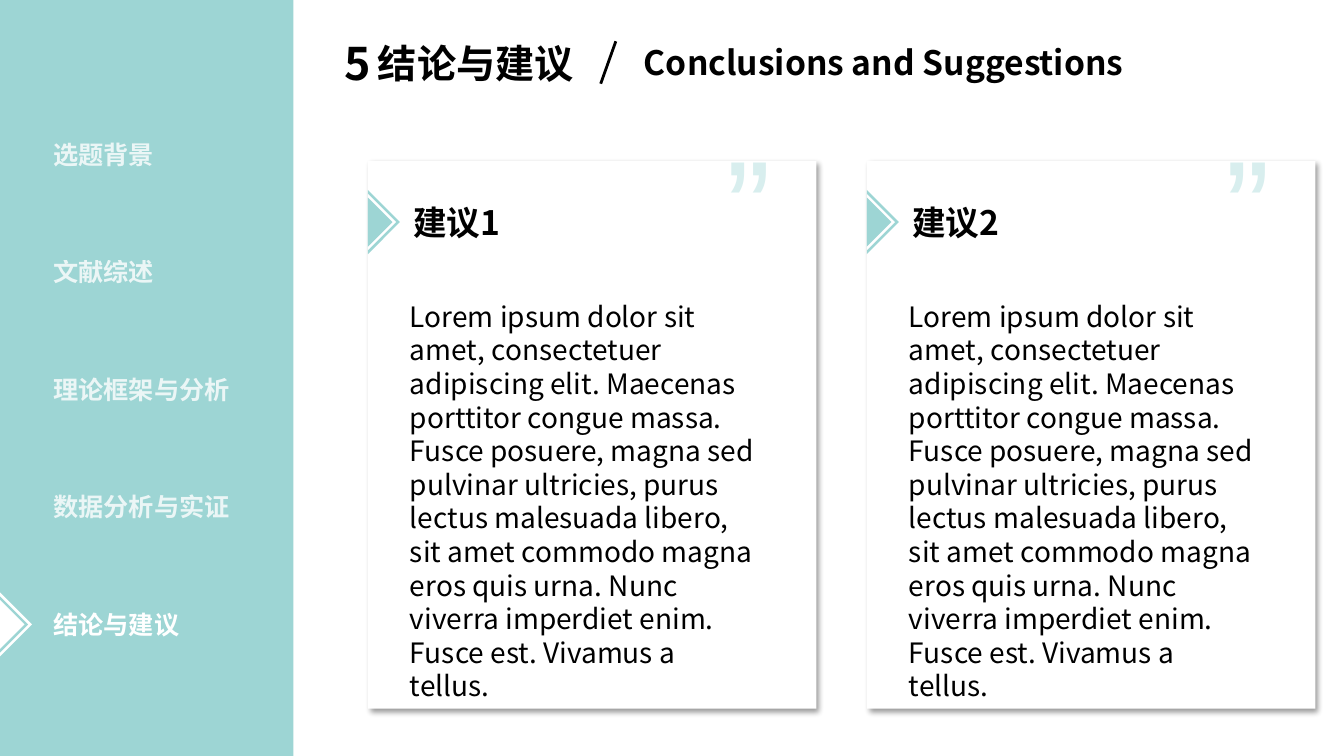
from lxml import etree
from pptx import Presentation
from pptx.dml.color import RGBColor
from pptx.enum.shapes import MSO_CONNECTOR, MSO_SHAPE
from pptx.enum.text import MSO_ANCHOR, MSO_AUTO_SIZE, PP_ALIGN
from pptx.oxml.ns import qn
from pptx.util import Pt

RECTANGLE = MSO_SHAPE.RECTANGLE
RIGHT_TRIANGLE = MSO_SHAPE.RIGHT_TRIANGLE
STRAIGHT = MSO_CONNECTOR.STRAIGHT
TOP = MSO_ANCHOR.TOP
GROW = MSO_AUTO_SIZE.SHAPE_TO_FIT_TEXT
LEFT = PP_ALIGN.LEFT
JUSTIFY = PP_ALIGN.JUSTIFY

TEAL = RGBColor(0x9D, 0xD5, 0xD4)
PALE_TEAL = RGBColor(0xD8, 0xEE, 0xEE)
WHITE = RGBColor(0xFF, 0xFF, 0xFF)
BLACK = RGBColor(0, 0, 0)
FONT = "Noto Sans CJK SC"

SECTIONS = ["选题背景", "文献综述", "理论框架与分析", "数据分析与实证", "结论与建议"]
SECTION_TOP, SECTION_PITCH = 95.8, 83.9
CARD_LEFT, CARD_PITCH, CARD_TOP = 262.8, 359.3 - 2.9, 115.2
CARD_WIDTH, CARD_HEIGHT = 320.4, 391
ADVICE = (
    "Lorem ipsum dolor sit amet, consectetuer adipiscing elit. Maecenas "
    "porttitor congue massa. Fusce posuere, magna sed pulvinar ultricies, "
    "purus lectus malesuada libero, sit amet commodo magna eros quis urna. "
    "Nunc viverra imperdiet enim. Fusce est. Vivamus a tellus."
)


def write_text(box, text, size, color=BLACK, bold=False, font=FONT,
               align=LEFT, line_spacing=None, opacity=None):
    frame = box.text_frame
    frame.word_wrap = True
    frame.auto_size = GROW
    frame.vertical_anchor = TOP
    para = frame.paragraphs[0]
    para.alignment = align
    if line_spacing:
        para.line_spacing = Pt(line_spacing)
    span = para.add_run()
    span.text = text
    span.font.size = Pt(size)
    span.font.bold = bold
    span.font.color.rgb = color
    span.font.name = font
    properties = span.font._element
    etree.SubElement(properties, qn("a:ea"), typeface=font)
    if opacity:
        fill_color = properties.find(".//" + qn("a:srgbClr"))
        etree.SubElement(fill_color, qn("a:alpha"), val=str(opacity * 1000))


def place(shape, left, top, width, height):
    shape.left, shape.top = Pt(left), Pt(top)
    shape.width, shape.height = Pt(width), Pt(height)


def add_text(page, left, top, width, height, text, size, **style):
    box = page.shapes.add_textbox(Pt(left), Pt(top), Pt(width), Pt(height))
    write_text(box, text, size, **style)


def add_filled(page, kind, left, top, width, height, color):
    shape = page.shapes.add_shape(kind, Pt(left), Pt(top), Pt(width), Pt(height))
    shape.shadow.inherit = False
    shape.fill.solid()
    shape.fill.fore_color.rgb = color
    shape.line.fill.background()
    return shape


def add_drop_shadow(shape):
    effects = shape._element.spPr.find(qn("a:effectLst"))
    shadow = etree.SubElement(
        effects, qn("a:outerShdw"), blurRad=str(Pt(4)), dist=str(Pt(3)),
        dir="2700000", algn="tl", rotWithShape="0")
    color = etree.SubElement(shadow, qn("a:srgbClr"), val=str(BLACK))
    etree.SubElement(color, qn("a:alpha"), val="40000")


def add_marker(page, center_x, center_y, color, gap_color):
    """Nested corner triangles, turned so that the right angle points right."""
    for side, fill in ((32.4, color), (28.4, gap_color), (24.8, color)):
        triangle = add_filled(page, RIGHT_TRIANGLE, center_x - side / 2,
                              center_y - side / 2, side, side, fill)
        triangle.rotation = 225


def add_sidebar(page):
    add_filled(page, RECTANGLE, 0, 0, 209.5, 540, TEAL)
    last = len(SECTIONS) - 1
    for index, section in enumerate(SECTIONS):
        add_text(page, 31, SECTION_TOP + index * SECTION_PITCH, 142.6, 29,
                 section, 18, color=WHITE, bold=True, align=JUSTIFY,
                 opacity=None if index == last else 80)
    add_marker(page, 0, SECTION_TOP + last * SECTION_PITCH + 14.6, WHITE, TEAL)


def add_heading(page):
    add_text(page, 239, 21.6, 34, 46, "5", 32, bold=True)
    title = page.shapes.title
    place(title, 262.8, 24.5, 166.3, 41)
    write_text(title, "结论与建议", 28, bold=True)
    add_text(page, 452.9, 26.6, 427, 36, "Conclusions and Suggestions", 24,
             bold=True)
    slash = page.shapes.add_connector(STRAIGHT, Pt(439.9), Pt(29.5),
                                      Pt(429.1), Pt(59.8))
    slash.line.color.rgb = BLACK
    slash.line.width = Pt(2)
    etree.SubElement(slash._element.spPr, qn("a:effectLst"))


def add_card(page, left, heading):
    card = add_filled(page, RECTANGLE, left, CARD_TOP, CARD_WIDTH, CARD_HEIGHT,
                      WHITE)
    add_drop_shadow(card)
    add_text(page, left + 249.1, 82.8, 111.6, 123.8, "”", 96,
             color=PALE_TEAL, font="Arial")
    add_text(page, left + 25.2, 140.4, 123.8, 36, heading, 24, bold=True)
    add_text(page, left + 23, 210.2, 261.4, 249.8, ADVICE, 20, line_spacing=24)
    add_marker(page, left, 158.6, TEAL, WHITE)


def main():
    deck = Presentation()
    deck.slide_width, deck.slide_height = Pt(960), Pt(540)
    page = deck.slides.add_slide(deck.slide_layouts[5])
    add_sidebar(page)
    add_heading(page)
    for index in range(2):
        add_card(page, CARD_LEFT + index * CARD_PITCH, f"建议{index + 1}")
    deck.save("out.pptx")


if __name__ == "__main__":
    main()
